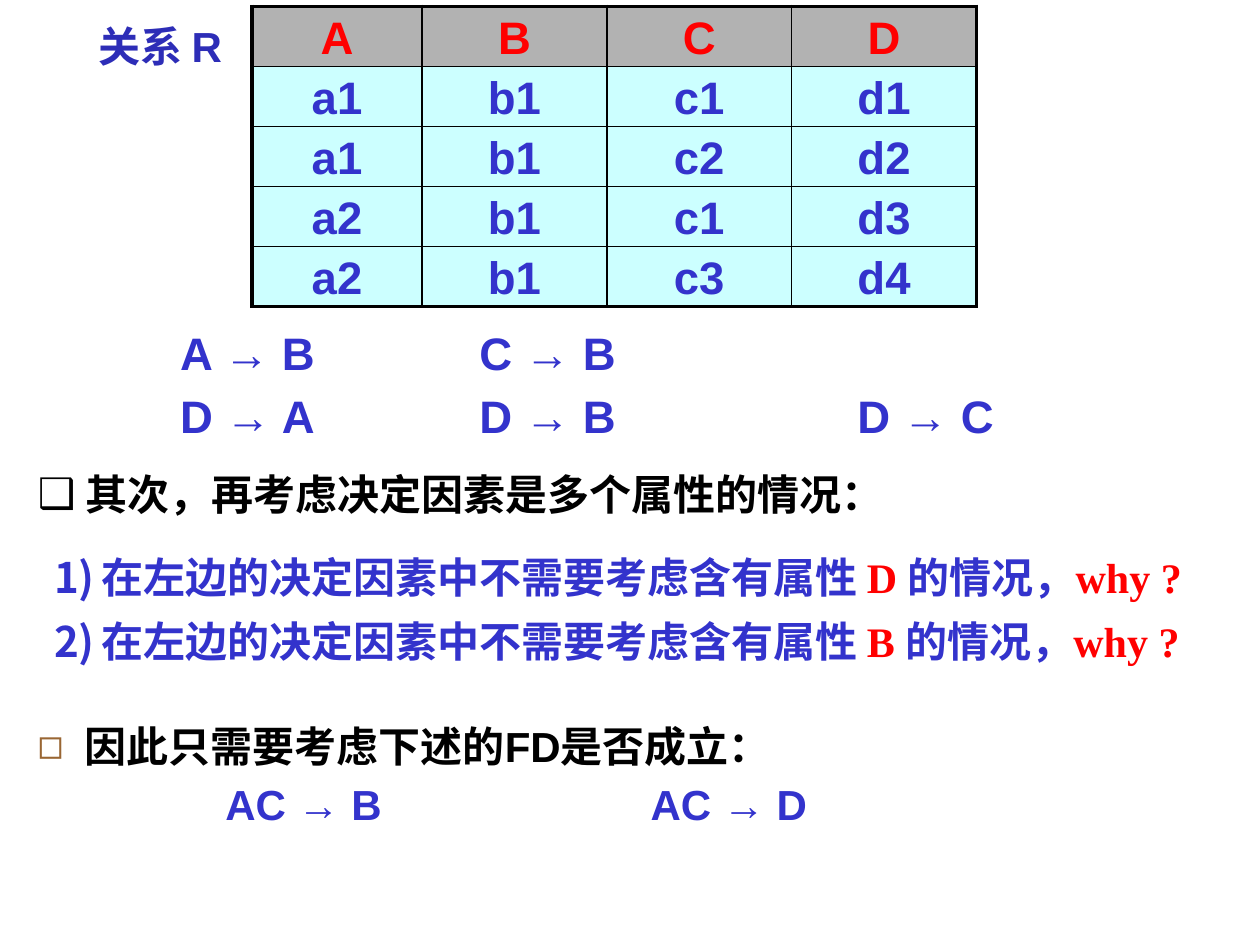
from lxml import etree
from pptx import Presentation
from pptx.dml.color import RGBColor
from pptx.enum import text
from pptx.oxml import ns
from pptx.util import Pt

COLORS = {
    "ink": "000000", "blue": "3333CC", "label": "2D2DB7", "red": "FF0000",
    "brown": "996633", "header": "B2B2B2", "body": "CCFFFF",
}
RELATION = ["A B C D", "a1 b1 c1 d1", "a1 b1 c2 d2", "a2 b1 c1 d3", "a2 b1 c3 d4"]
HANGING = 27


def rgb(name):
    """Return the named colour."""
    return RGBColor.from_string(COLORS[name])


def add_element(parent, tag, **attributes):
    """Append a DrawingML element with the given attributes."""
    element = etree.SubElement(parent, ns.qn(f"a:{tag}"))
    for key, value in attributes.items():
        element.set(key, str(value))
    return element


def add_bullet(properties, bullet, color):
    """Give a paragraph a bullet character or automatic numbers."""
    if color:
        add_element(add_element(properties, "buClr"), "srgbClr", val=COLORS[color])
    if bullet == "1)":
        add_element(properties, "buFont", typeface="+mj-lt")
        add_element(properties, "buAutoNum", type="arabicParenR")
    else:
        add_element(properties, "buFont", typeface="Arial")
        add_element(properties, "buChar", char=bullet)


def write(frame, lines, size=24, font="Arial", color="blue", spacing=None,
          hanging=True, bullet=None, bullet_color=None, align=None):
    """Fill a text frame; a line is a list of strings or (string, colour) pairs."""
    for index, line in enumerate(lines):
        paragraph = frame.add_paragraph() if index else frame.paragraphs[0]
        properties = paragraph._p.get_or_add_pPr()
        if hanging:
            properties.set("marL", str(Pt(HANGING)))
            properties.set("indent", str(Pt(-HANGING)))
            properties.set("defTabSz", str(Pt(72)))
        if bullet:
            add_bullet(properties, bullet, bullet_color)
        paragraph.space_before = Pt(5 if index else 0)
        paragraph.line_spacing = spacing
        paragraph.alignment = align
        for part in line:
            wording, tint = part if isinstance(part, tuple) else (part, color)
            run = paragraph.add_run()
            run.text = wording
            run.font.size = Pt(size)
            run.font.name = font
            run.font.bold = True
            run.font.color.rgb = rgb(tint)


def place(shape, left, top, width, height):
    """Position a shape and return its wrapped text frame."""
    shape.left, shape.top = Pt(left), Pt(top)
    shape.width, shape.height = Pt(width), Pt(height)
    frame = shape.text_frame
    frame.word_wrap = True
    frame.auto_size = text.MSO_AUTO_SIZE.SHAPE_TO_FIT_TEXT
    return frame


def add_text(slide, box, lines, **style):
    """Add a text box holding the given lines."""
    frame = place(slide.shapes.add_textbox(0, 0, 0, 0), *box)
    write(frame, lines, **style)


def add_borders(cell, widths):
    """Draw the left, right, top and bottom borders of a cell."""
    properties = cell._tc.get_or_add_tcPr()
    for side, width in zip("LRTB", widths):
        line = add_element(properties, f"ln{side}", w=Pt(width))
        add_element(add_element(line, "solidFill"), "srgbClr", val=COLORS["ink"])


def add_relation(slide):
    """Add the table of relation R with a heavier outer frame."""
    last_row, last_column = len(RELATION) - 1, 3
    table = slide.shapes.add_table(
        last_row + 1, last_column + 1, Pt(144), Pt(3.6), Pt(414), Pt(168)).table
    for index, column in enumerate(table.columns):
        column.width = Pt(105.6 if index else 97.2)
    for r, values in enumerate(RELATION):
        table.rows[r].height = Pt(34 if r else 32)
        for c, value in enumerate(values.split()):
            cell = table.cell(r, c)
            edges = (c == 0, c == last_column, r == 0, r == last_row)
            add_borders(cell, [2.25 if edge else 1 for edge in edges])
            cell.fill.solid()
            cell.fill.fore_color.rgb = rgb("body" if r else "header")
            cell.margin_top = cell.margin_bottom = 0
            cell.vertical_anchor = text.MSO_ANCHOR.MIDDLE
            write(cell.text_frame, [[value]], size=26, spacing=1.1, hanging=False,
                  color="blue" if r else "red", align=text.PP_ALIGN.CENTER)


def main():
    """Build the slide on functional dependencies."""
    deck = Presentation()
    deck.slide_width, deck.slide_height = Pt(720), Pt(540)
    slide = deck.slides.add_slide(deck.slide_layouts[1])
    title, next_step = slide.placeholders
    title.element.getparent().remove(title.element)

    write(place(next_step, 14.4, 261.4, 660, 39),
          [["其次，再考虑决定因素是多个属性的情况："]],
          color="ink", spacing=1.1, bullet="❑")
    add_text(slide, (95.8, 182.2, 546, 76),
             [["A → B \t\tC → B"], ["D → A \t\tD → B \t\tD → C"]], size=26)
    add_text(slide, (23.8, 308.9, 690, 77),
             [["在左边的决定因素中不需要考虑含有属性 ", (f"{attribute} ", "red"),
               "的情况，", ("why ?", "red")] for attribute in "DB"],
             font="Times New Roman", spacing=1.1, bullet="1)")
    add_text(slide, (121.7, 441.4, 498, 36), [["AC → B \t\t\tAC → D"]])
    add_text(slide, (14.4, 405.4, 648, 39), [["因此只需要考虑下述的FD是否成立："]],
             color="ink", spacing=1.1, bullet="◻", bullet_color="brown")
    add_relation(slide)
    add_text(slide, (49, 7.9, 90, 36), [["关系 R"]], color="label", hanging=False)
    deck.save("out.pptx")


if __name__ == "__main__":
    main()
